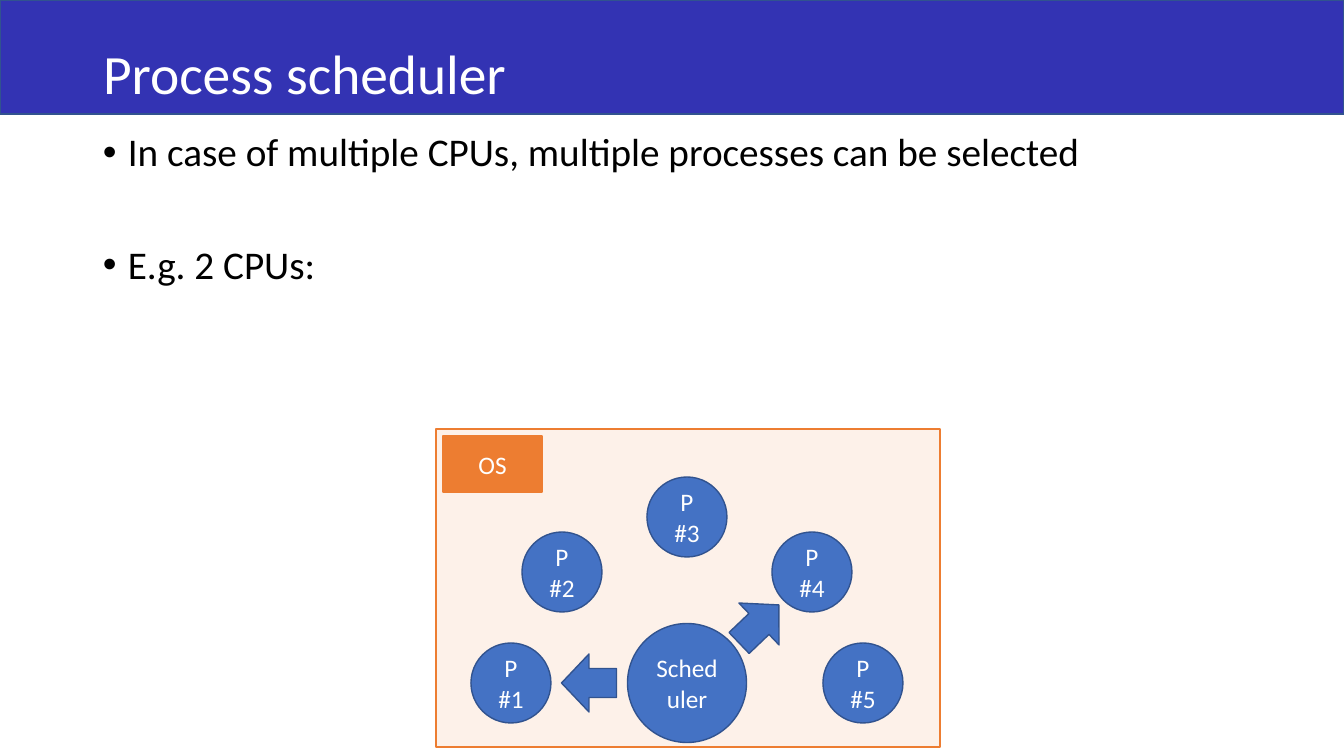
from lxml import etree
from pptx import Presentation
from pptx.dml.color import RGBColor
from pptx.enum.shapes import MSO_SHAPE
from pptx.enum.text import MSO_ANCHOR, MSO_AUTO_SIZE, PP_ALIGN
from pptx.oxml.ns import qn
from pptx.util import Pt

RECTANGLE, OVAL, ARROW = MSO_SHAPE.RECTANGLE, MSO_SHAPE.OVAL, MSO_SHAPE.RIGHT_ARROW
MIDDLE, NO_AUTOFIT = MSO_ANCHOR.MIDDLE, MSO_AUTO_SIZE.NONE
LEFT, CENTER = PP_ALIGN.LEFT, PP_ALIGN.CENTER

SLIDE_W, SLIDE_H = 1344, 756
EMU_PER_PX = 12192000 / SLIDE_W
FONT = "Calibri"
COLORS = {
    "band": "3333B3",
    "process": "4472C4",
    "outline": "31538F",
    "os": "ED7D31",
    "text": "000000",
    "light": "FFFFFF",
}
# Offsets of the process centres from the scheduler centre, P #1 to P #5.
PROCESS_OFFSETS = [(-176, 0), (-125, -111), (0, -166), (125, -111), (176, 0)]
# Offsets and rotation of the arrows towards the selected processes.
SELECTION_ARROWS = [(-98, 0, 180), (72, -59, 316.2)]


def px(length):
    return round(length * EMU_PER_PX)


def color(name):
    return RGBColor.from_string(COLORS[name])


def add_run(paragraph, text, size, color_name):
    run = paragraph.add_run()
    run.text = text
    run.font.name = FONT
    run.font.size = Pt(size)
    run.font.color.rgb = color(color_name)


def add_block(slide, kind, box, fill, line, label=None):
    block = slide.shapes.add_shape(kind, *map(px, box))
    block.shadow.inherit = False
    block.fill.solid()
    block.fill.fore_color.rgb = color(fill)
    block.line.color.rgb = color(line)
    block.line.width = Pt(1)
    if label:
        frame = block.text_frame
        frame.word_wrap = True
        frame.vertical_anchor = MIDDLE
        frame.paragraphs[0].alignment = CENTER
        add_run(frame.paragraphs[0], label, 18, "light")
    return block


def add_centered(slide, kind, center, size, label=None):
    """Place a process-coloured shape by its centre."""
    (x, y), (width, height) = center, size
    box = (x - width / 2, y - height / 2, width, height)
    return add_block(slide, kind, box, "process", "outline", label)


def add_header(slide, box):
    left, top, width, height = box
    band = add_block(slide, RECTANGLE, box, "band", "outline")
    title = slide.shapes.title
    title.element.addprevious(band.element)
    title.left, title.top = px(left + 93), px(top + 40)
    title.width, title.height = px(width - 185), px(height - 40)
    frame = title.text_frame
    frame.auto_size = NO_AUTOFIT
    frame.vertical_anchor = MIDDLE
    paragraph = frame.paragraphs[0]
    paragraph.alignment = LEFT
    paragraph.line_spacing = 0.9
    add_run(paragraph, "Process scheduler", 39.6, "light")


def add_bullets(slide, box, lines):
    frame = slide.shapes.add_textbox(*map(px, box)).text_frame
    frame.word_wrap = True
    for index, line in enumerate(lines):
        paragraph = frame.add_paragraph() if index else frame.paragraphs[0]
        paragraph.line_spacing = 0.9
        paragraph.space_before = Pt(50 if index else 0)
        properties = paragraph._p.get_or_add_pPr()
        properties.set("marL", str(px(25)))
        properties.set("indent", str(-px(25)))
        etree.SubElement(properties, qn("a:buFont"), typeface="Arial")
        etree.SubElement(properties, qn("a:buChar"), char="•")
        add_run(paragraph, line, 28, "text")


def add_os_diagram(slide, box):
    left, top, width, height = box
    area = add_block(slide, RECTANGLE, box, "os", "os")
    fill_color = area.element.spPr.find(qn("a:solidFill"))[0]
    etree.SubElement(fill_color, qn("a:alpha"), val="10000")
    add_block(slide, RECTANGLE, (left + 7, top + 7, 99, 56), "os", "os", "OS")

    hub_x, hub_y = left + 251, top + 254
    add_centered(slide, OVAL, (hub_x, hub_y), (119, 119), "Scheduler")
    for number, (dx, dy) in enumerate(PROCESS_OFFSETS, start=1):
        add_centered(slide, OVAL, (hub_x + dx, hub_y + dy), (80, 80), f"P #{number}")
    for dx, dy, angle in SELECTION_ARROWS:
        arrow = add_centered(slide, ARROW, (hub_x + dx, hub_y + dy), (55, 58))
        arrow.rotation = angle


def main():
    deck = Presentation()
    deck.slide_width, deck.slide_height = px(SLIDE_W), px(SLIDE_H)
    slide = deck.slides.add_slide(deck.slide_layouts[5])
    add_header(slide, (0, 0, SLIDE_W, 114))
    add_bullets(slide, (93, 128, 1159, 553), [
        "In case of multiple CPUs, multiple processes can be selected",
        "E.g. 2 CPUs:",
    ])
    add_os_diagram(slide, (436, 429, 504, 318))
    deck.save("out.pptx")


if __name__ == "__main__":
    main()
